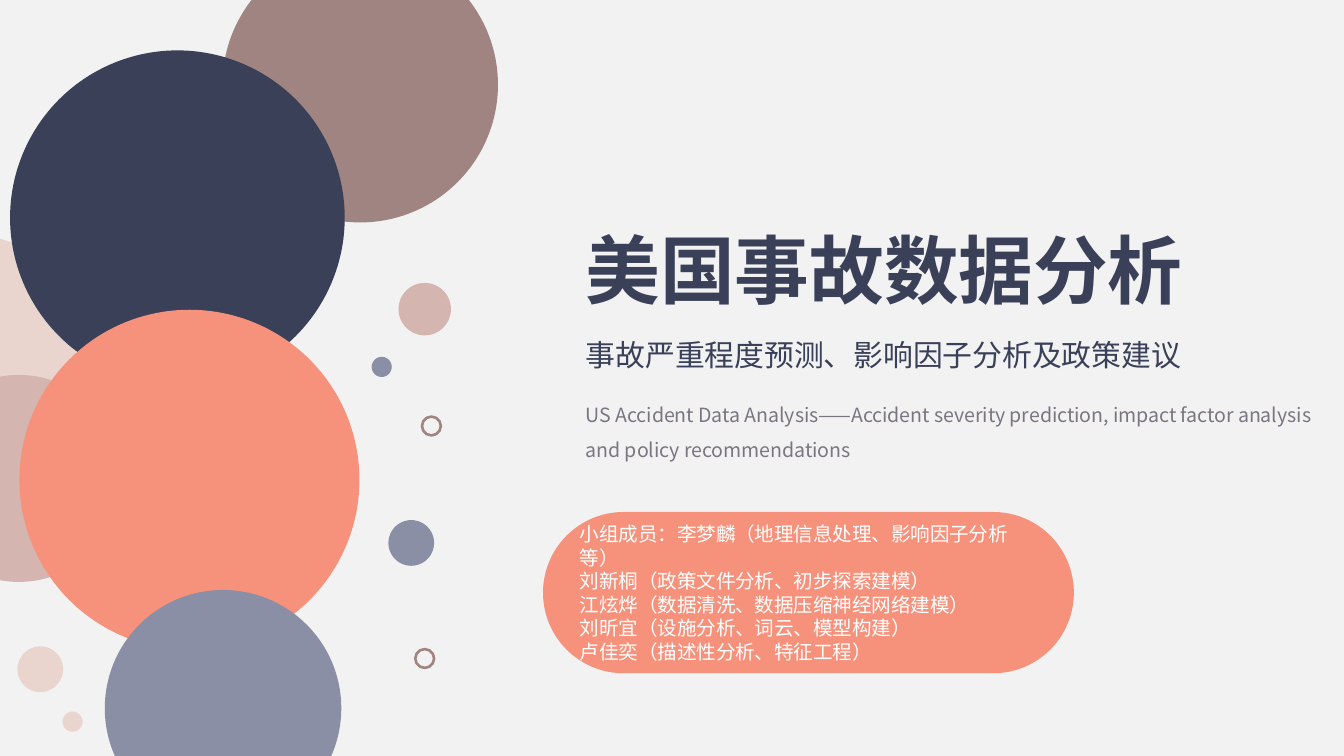
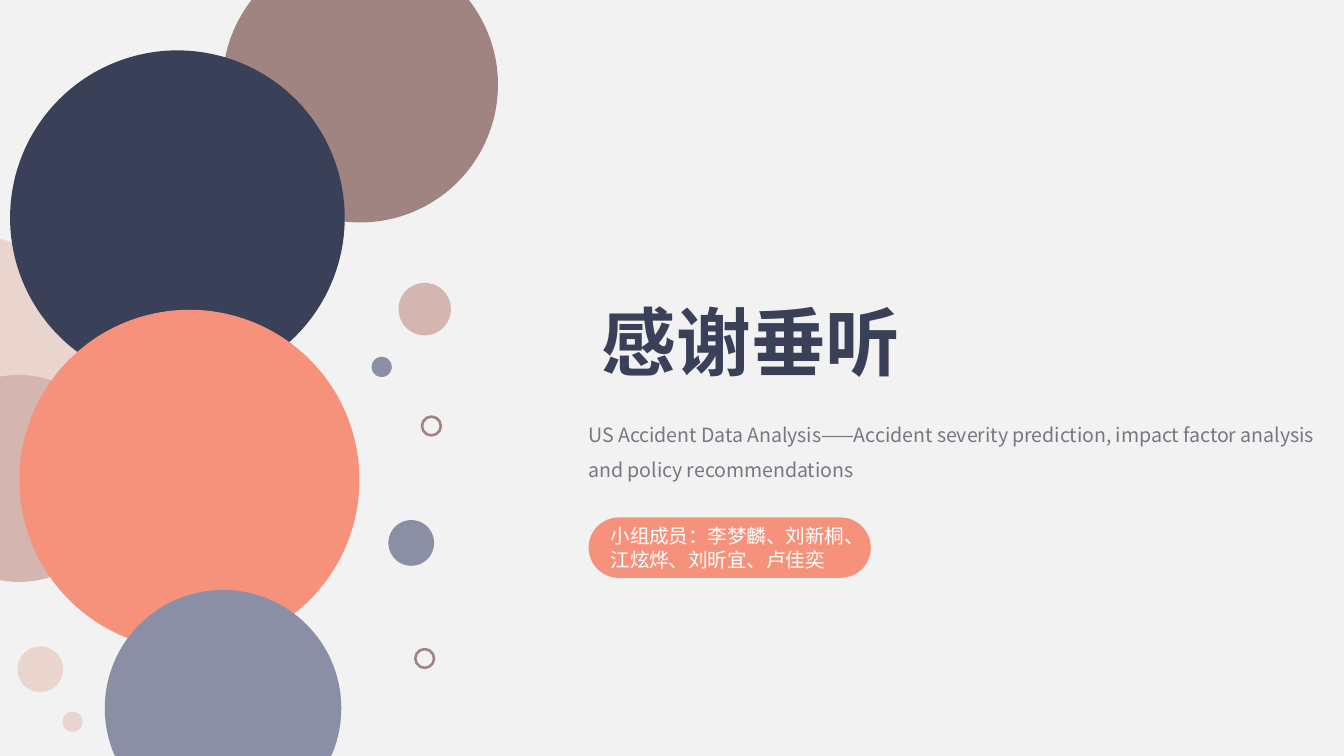
"""Build the opening and closing slides of an accident data analysis deck."""
import pptx
import pptx.dml.color
import pptx.enum.shapes
import pptx.enum.text
import pptx.oxml.ns
import pptx.util
from collections import namedtuple
from lxml import etree

Inches = pptx.util.Inches
RGBColor = pptx.dml.color.RGBColor
MSO_SHAPE = pptx.enum.shapes.MSO_SHAPE
Bubble = namedtuple("Bubble", "center_x center_y diameter color filled")

FONT = "Noto Sans CJK SC"
PAPER = RGBColor(0xF2, 0xF2, 0xF2)
NAVY = RGBColor(0x3A, 0x40, 0x58)
CORAL = RGBColor(0xF6, 0x92, 0x7B)
SLATE = RGBColor(0x8A, 0x8F, 0xA5)
MAUVE = RGBColor(0xA0, 0x84, 0x81)
ROSE = RGBColor(0xD4, 0xB5, 0xB0)
BLUSH = RGBColor(0xE9, 0xD5, 0xCE)
GRAY = RGBColor(0x7B, 0x75, 0x81)
WHITE = RGBColor(0xFF, 0xFF, 0xFF)

BUBBLES = [
    Bubble(-0.2, 2.52, 1.54, BLUSH, True),
    Bubble(0.14, 3.56, 1.54, ROSE, True),
    Bubble(3.16, 2.3, 0.39, ROSE, True),
    Bubble(3.21, 3.17, 0.14, MAUVE, False),
    Bubble(3.16, 4.9, 0.14, MAUVE, False),
    Bubble(0.3, 4.98, 0.34, BLUSH, True),
    Bubble(3.06, 4.04, 0.34, SLATE, True),
    Bubble(2.84, 2.73, 0.15, SLATE, True),
    Bubble(0.54, 5.37, 0.15, BLUSH, True),
    Bubble(2.68, 0.63, 2.05, MAUVE, True),
    Bubble(1.32, 1.62, 2.49, NAVY, True),
    Bubble(1.41, 3.57, 2.53, CORAL, True),
    Bubble(1.66, 5.27, 1.76, SLATE, True),
]
ENGLISH_TITLE = (
    "US Accident Data Analysis——Accident severity prediction, "
    "impact factor analysis and policy recommendations"
)
MEMBER_ROLES = [
    "小组成员：李梦麟（地理信息处理、影响因子分析等）",
    "刘新桐（政策文件分析、初步探索建模）",
    "江炫烨（数据清洗、数据压缩神经网络建模）",
    "刘昕宜（设施分析、词云、模型构建）",
    "卢佳奕（描述性分析、特征工程）",
]
MEMBERS = ["小组成员：李梦麟、刘新桐、江炫烨、刘昕宜、卢佳奕"]


def write_text(text_frame, lines, size, color, bold=False, spacing=None):
    """Fill a text frame with left-aligned paragraphs in the deck font."""
    text_frame.text = "\n".join(lines)
    for paragraph in text_frame.paragraphs:
        paragraph.alignment = pptx.enum.text.PP_ALIGN.LEFT
        if spacing:
            paragraph.line_spacing = spacing
        for run in paragraph.runs:
            run.font.size = pptx.util.Pt(size)
            run.font.bold = bold
            run.font.color.rgb = color
            run.font.name = FONT
            east_asian = etree.SubElement(run.font._element, pptx.oxml.ns.qn("a:ea"))
            east_asian.set("typeface", FONT)


def add_text(slide, box, text, size, color, wrap=False, bold=False, spacing=None):
    """Add a text box that grows with its text."""
    shape = slide.shapes.add_textbox(*map(Inches, box))
    shape.text_frame.word_wrap = wrap
    shape.text_frame.auto_size = pptx.enum.text.MSO_AUTO_SIZE.SHAPE_TO_FIT_TEXT
    write_text(shape.text_frame, [text], size, color, bold, spacing)


def add_title(slide, box, text):
    """Add the large bold title."""
    add_text(slide, box, text, 40, NAVY, bold=True)


def add_english_title(slide, left, top):
    """Add the grey English title, wrapped over two lines."""
    add_text(slide, (left, top, 5.69, 0.6), ENGLISH_TITLE, 10.5, GRAY, wrap=True, spacing=1.5)


def add_member_pill(slide, box, lines):
    """Add the coral pill that names the group members."""
    pill = slide.shapes.add_shape(MSO_SHAPE.ROUNDED_RECTANGLE, *map(Inches, box))
    pill.adjustments[0] = 0.5
    pill.shadow.inherit = False
    pill.fill.solid()
    pill.fill.fore_color.rgb = CORAL
    pill.line.fill.background()
    pill.text_frame.word_wrap = True
    pill.text_frame.vertical_anchor = pptx.enum.text.MSO_ANCHOR.MIDDLE
    write_text(pill.text_frame, lines, 10.5, WHITE)


def add_bubble(group, bubble):
    """Add a filled disc or an open ring around a centre."""
    radius = bubble.diameter / 2
    left, top = bubble.center_x - radius, bubble.center_y - radius
    box = (left, top, bubble.diameter, bubble.diameter)
    shape = group.shapes.add_shape(MSO_SHAPE.OVAL, *map(Inches, box))
    shape.shadow.inherit = False
    if bubble.filled:
        shape.fill.solid()
        shape.fill.fore_color.rgb = bubble.color
        shape.line.fill.background()
    else:
        shape.fill.background()
        shape.line.color.rgb = bubble.color
        shape.line.width = pptx.util.Pt(1.38)


def add_bubble_slide(presentation):
    """Add a slide with the shared background and group of bubbles."""
    slide = presentation.slides.add_slide(presentation.slide_layouts[6])
    slide.background.fill.solid()
    slide.background.fill.fore_color.rgb = PAPER
    group = slide.shapes.add_group_shape()
    for bubble in BUBBLES:
        add_bubble(group, bubble)
    return slide


def build_opening(presentation):
    """Build the opening slide."""
    slide = add_bubble_slide(presentation)
    add_english_title(slide, 4.26, 2.86)
    add_title(slide, (4.26, 1.62, 4.69, 0.77), "美国事故数据分析")
    add_member_pill(slide, (4.04, 3.81, 3.95, 1.2), MEMBER_ROLES)
    subtitle = "事故严重程度预测、影响因子分析及政策建议"
    add_text(slide, (4.26, 2.46, 4.69, 0.37), subtitle, 16, NAVY)


def build_closing(presentation):
    """Build the closing slide."""
    slide = add_bubble_slide(presentation)
    add_english_title(slide, 4.28, 3.01)
    add_title(slide, (4.38, 2.15, 2.45, 0.77), "感谢垂听")
    add_member_pill(slide, (4.38, 3.85, 2.1, 0.45), MEMBERS)


def main():
    """Build and save the presentation."""
    presentation = pptx.Presentation()
    presentation.slide_width = Inches(10)
    presentation.slide_height = Inches(10 * 9 / 16)
    build_opening(presentation)
    build_closing(presentation)
    presentation.save("out.pptx")


if __name__ == "__main__":
    main()
